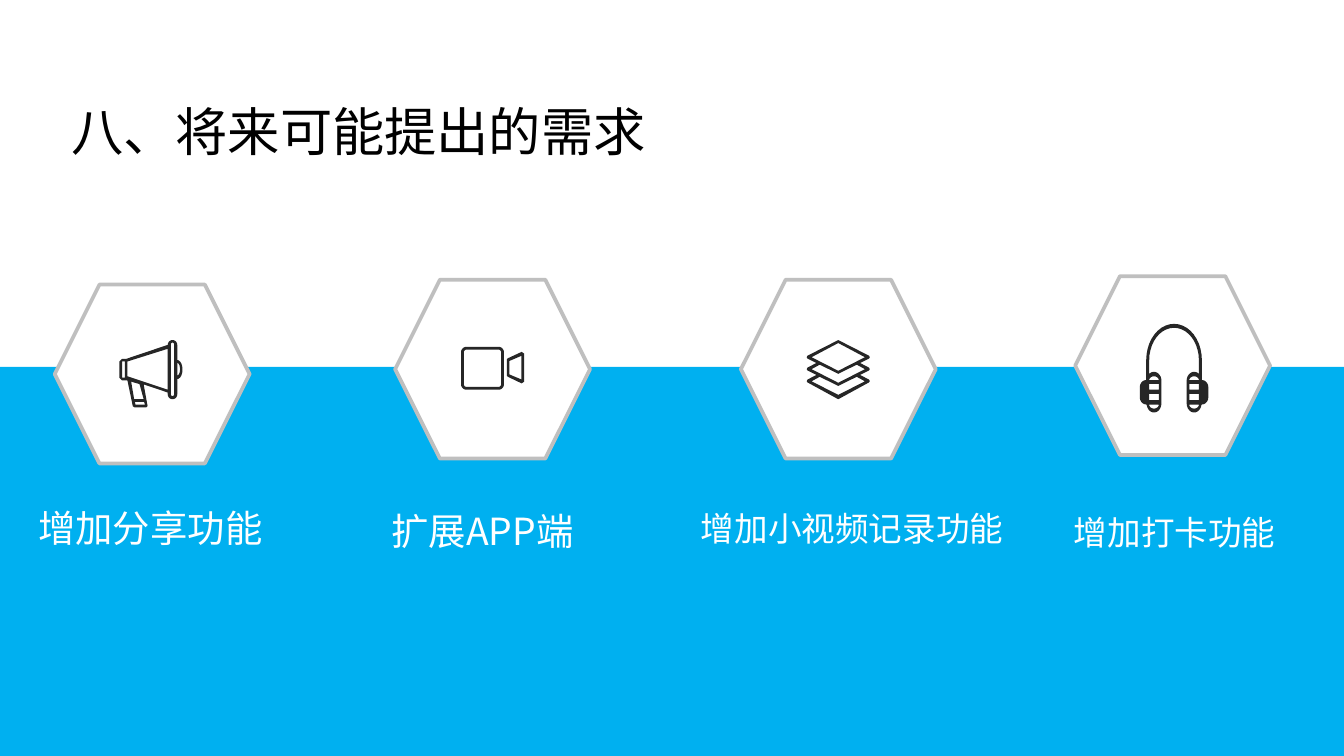
from dataclasses import dataclass
from math import cos, pi, sin

from pptx import Presentation
from pptx.dml.color import RGBColor
from pptx.enum.shapes import MSO_SHAPE
from pptx.enum.text import MSO_ANCHOR, MSO_AUTO_SIZE, PP_ALIGN
from pptx.oxml.ns import qn
from pptx.util import Pt


@dataclass(frozen=True)
class Theme:
    font: str = "Noto Sans CJK SC"
    ink: RGBColor = RGBColor(0, 0, 0)
    paper: RGBColor = RGBColor(255, 255, 255)
    band: RGBColor = RGBColor(0, 0xB0, 0xF0)
    border: RGBColor = RGBColor(0xBF, 0xBF, 0xBF)
    icon: RGBColor = RGBColor(0x26, 0x26, 0x26)
    title_size: float = 28
    label_size: float = 20
    small_label_size: float = 18


THEME = Theme()
HEXAGON_SIZE = (104.4, 95.8)


def arc(cx, cy, rx, ry, start, end, steps=10):
    """Points on an ellipse, in degrees clockwise from the right."""
    angles = [(start + (end - start) * i / steps) * pi / 180 for i in range(steps + 1)]
    return [(cx + rx * cos(a), cy + ry * sin(a)) for a in angles]


def rounded_box(left, top, width, height, radius=0):
    if not radius:
        return [(left, top), (left + width, top),
                (left + width, top + height), (left, top + height)]
    right, bottom = left + width - radius, top + height - radius
    left, top = left + radius, top + radius
    corners = [(right, bottom, 0), (left, bottom, 90), (left, top, 180), (right, top, 270)]
    return [point for x, y, turn in corners
            for point in arc(x, y, radius, radius, turn, turn + 90, 5)]


def mirror(points, axis):
    return [(2 * axis - x, y) for x, y in reversed(points)]


def megaphone():
    silhouette = [
        *arc(28.45, 2.6, 2.55, 2.6, 180, 360),
        *arc(31, 15.8, 2.8, 5.1, -90, 90),
        *arc(28.45, 29.1, 2.55, 2.6, 0, 180),
        (25.9, 28.1), (13, 23.8), (15.1, 35.3), (14.4, 36), (8, 36), (7.2, 35.5),
        (4.3, 21.6), (1.4, 21.6), (0, 20.2), (0, 11.5), (1.4, 10.1), (3.6, 10.1),
    ]
    knob = arc(31, 15.6, 1.5, 3.4, -90, 90)
    horn = [(25.9, 26.6), (4.3, 19.4), (4.3, 11.5), (25.9, 4.7)]
    handle = [(13, 31.7), (7.9, 31.7), (6.3, 22.3), (10.8, 23.6)]
    handle_end = [(13.7, 34.6), (8.6, 34.6), (8.3, 33.1), (13.2, 33.1)]
    return [silhouette, knob, horn, handle, handle_end,
            rounded_box(27.6, 1.4, 1.7, 28.6, 0.8), rounded_box(1.4, 11.5, 1.5, 8.6)]


def video_camera():
    lens = [(24.5, 6.8), (25, 6.2), (32.5, 2.7), (33.8, 3.6),
            (33.8, 18.7), (32.5, 19.6), (25, 16), (24.5, 15.4)]
    glass = [(32.4, 17.5), (25.9, 14.8), (25.9, 7.6), (32.4, 4.8)]
    return [rounded_box(0, 0, 23, 23, 2.9), rounded_box(1.5, 1.5, 20, 20, 1.4), lens, glass]


def layers():
    axis = 16.9
    right_edge = [(axis, 0), (33.4, 8.4), (33.8, 9.2), (33.4, 9.9), (28.6, 12.3),
                  (33.4, 14.8), (33.8, 15.6), (33.4, 16.3), (28.6, 18.7),
                  (33.4, 21.2), (33.8, 22), (33.4, 22.7), (axis, 31.7)]
    top_sheet = [(2.6, 9.2), (axis, 1.6), (31.2, 9.2), (axis, 16.5)]
    right_chevron = [(axis, 18.1), (26.8, 13.2), (31.2, 15.6), (axis, 22.9)]
    middle_sheet = right_chevron + mirror(right_chevron, axis)
    bottom_sheet = [(x, y + 6.5) for x, y in middle_sheet]
    return [right_edge + mirror(right_edge, axis), top_sheet, middle_sheet, bottom_sheet]


def headphones():
    axis = 18.35
    left_side = [
        *arc(axis, 19.4, 14.9, 19.4, 270, 180),
        *arc(3.45, 33.9, 3.45, 3.8, 270, 180, 5),
        *arc(3.45, 39.4, 3.45, 3.8, 180, 90, 5),
        *arc(7.6, 42.5, 4, 5, 170, 0),
        *arc(7.6, 30.5, 4, 4.8, 0, -130),
        *arc(axis, 19.4, 13.3, 17.3, 180, 270),
    ]
    windows = [rounded_box(5, 32.2, 5.2, 3.1), rounded_box(5, 37.5, 5.2, 3.3),
               arc(7.6, 30.2, 2.6, 2.1, 180, 360), arc(7.6, 43.3, 2.6, 2.1, 0, 180)]
    return [left_side + mirror(left_side, axis), *windows,
            *(mirror(window, axis) for window in windows)]


def style(shape, fill, border=None):
    shape.shadow.inherit = False
    shape.fill.solid()
    shape.fill.fore_color.rgb = fill
    if border is None:
        shape.line.fill.background()
    else:
        shape.line.color.rgb = border
        shape.line.width = Pt(2)


def add_preset(slide, kind, left, top, width, height, **look):
    shape = slide.shapes.add_shape(kind, Pt(left), Pt(top), Pt(width), Pt(height))
    style(shape, **look)


def add_icon(slide, left, top, contours):
    """Draw nested contours as one outline, so the inner ones become holes."""
    hundredths = [[(round((left + x) * 100), round((top + y) * 100)) for x, y in contour]
                  for contour in contours]
    pen = slide.shapes.build_freeform(*hundredths[0][0], scale=Pt(0.01))
    for number, contour in enumerate(hundredths):
        if number:
            pen.move_to(*contour[0])
        pen.add_line_segments(contour[1:], close=True)
    style(pen.convert_to_shape(), THEME.icon)


def write(frame, text, *, size, color, align):
    frame.word_wrap = True
    frame.auto_size = MSO_AUTO_SIZE.NONE
    frame.vertical_anchor = MSO_ANCHOR.MIDDLE
    frame.margin_top = frame.margin_bottom = 0
    paragraph = frame.paragraphs[0]
    paragraph.alignment = align
    paragraph.line_spacing = 1.0
    run = paragraph.add_run()
    run.text = text
    run.font.size = Pt(size)
    run.font.color.rgb = color
    run.font.name = THEME.font
    east_asian = run.font._element.makeelement(qn("a:ea"), {"typeface": THEME.font})
    run.font._element.find(qn("a:latin")).addnext(east_asian)


def add_title(slide, text):
    title = slide.shapes.title
    title.left, title.top, title.width, title.height = Pt(31), Pt(49.7), Pt(325.4), Pt(41)
    write(title.text_frame, text, size=THEME.title_size, color=THEME.ink, align=PP_ALIGN.LEFT)


def add_label(slide, text, left, top, width, size):
    height = size * 1.6
    box = slide.shapes.add_textbox(Pt(left), Pt(top), Pt(width), Pt(height))
    write(box.text_frame, text, size=size, color=THEME.paper, align=PP_ALIGN.CENTER)


def main():
    deck = Presentation()
    deck.slide_width, deck.slide_height = Pt(720), Pt(405)
    slide = deck.slides.add_slide(deck.slide_layouts[5])

    add_preset(slide, MSO_SHAPE.RECTANGLE, -1.4, 196.6, 722.2, 212.4, fill=THEME.band)
    add_title(slide, "八、将来可能提出的需求")

    large, small = THEME.label_size, THEME.small_label_size
    # Hexagon corner, icon corner and outline, label text with left, top, width and size
    features = [
        ((29.3, 152.5), (64, 182.2), megaphone(), ("增加分享功能", 9.2, 266.7, 142.6, large)),
        ((211.7, 149.9), (247, 185.8), video_camera(), ("扩展APP端", 187.2, 268.1, 142.6, large)),
        ((396.9, 149.9), (432.2, 182.2), layers(),
         ("增加小视频记录功能", 365.8, 268.6, 181.4, small)),
        ((576, 148), (610.6, 173.5), headphones(), ("增加打卡功能", 558, 270.7, 142.6, small)),
    ]
    for corner, icon_corner, icon, label in features:
        add_preset(slide, MSO_SHAPE.HEXAGON, *corner, *HEXAGON_SIZE,
                   fill=THEME.paper, border=THEME.border)
        add_icon(slide, *icon_corner, icon)
        add_label(slide, *label)

    deck.save("out.pptx")


if __name__ == "__main__":
    main()
